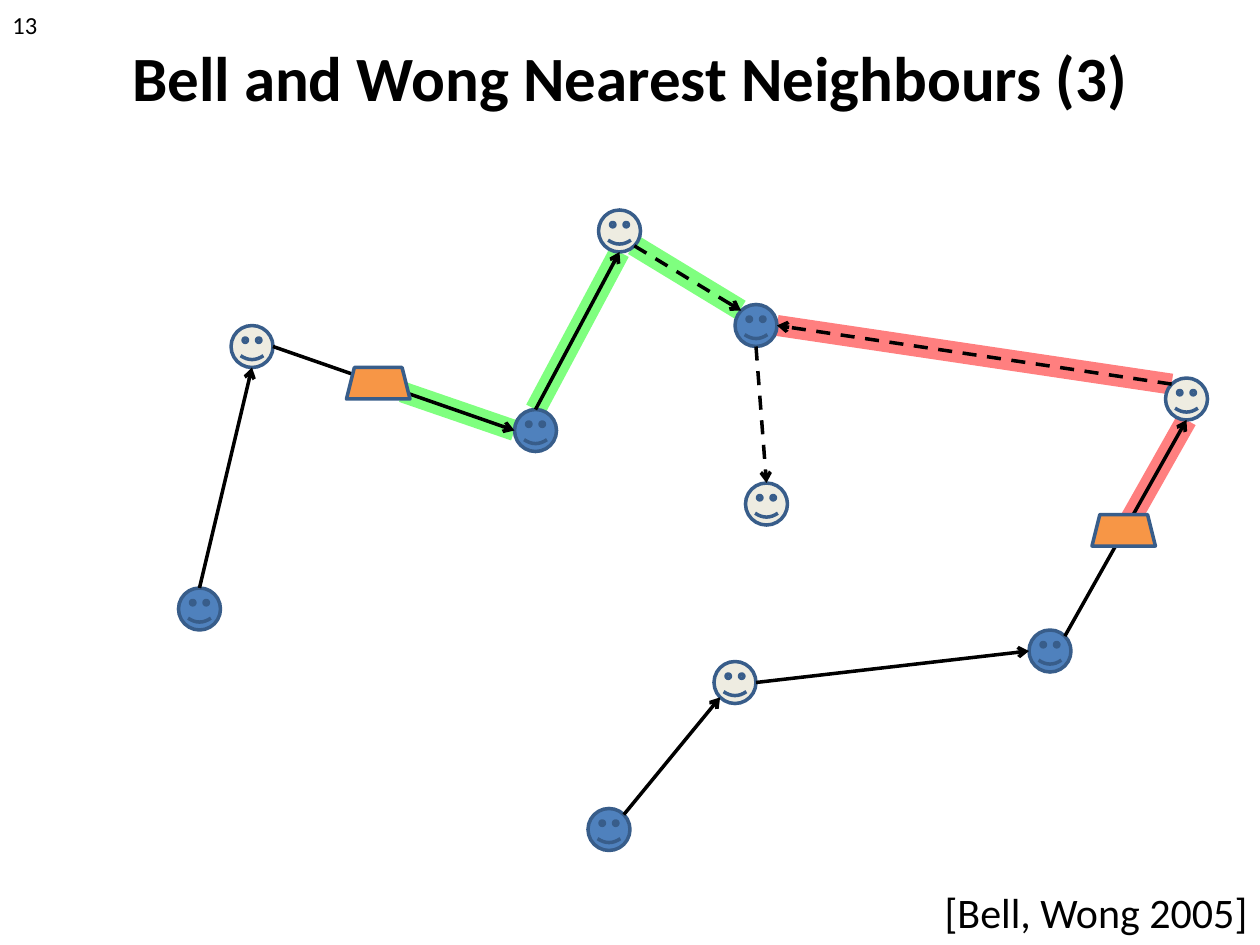
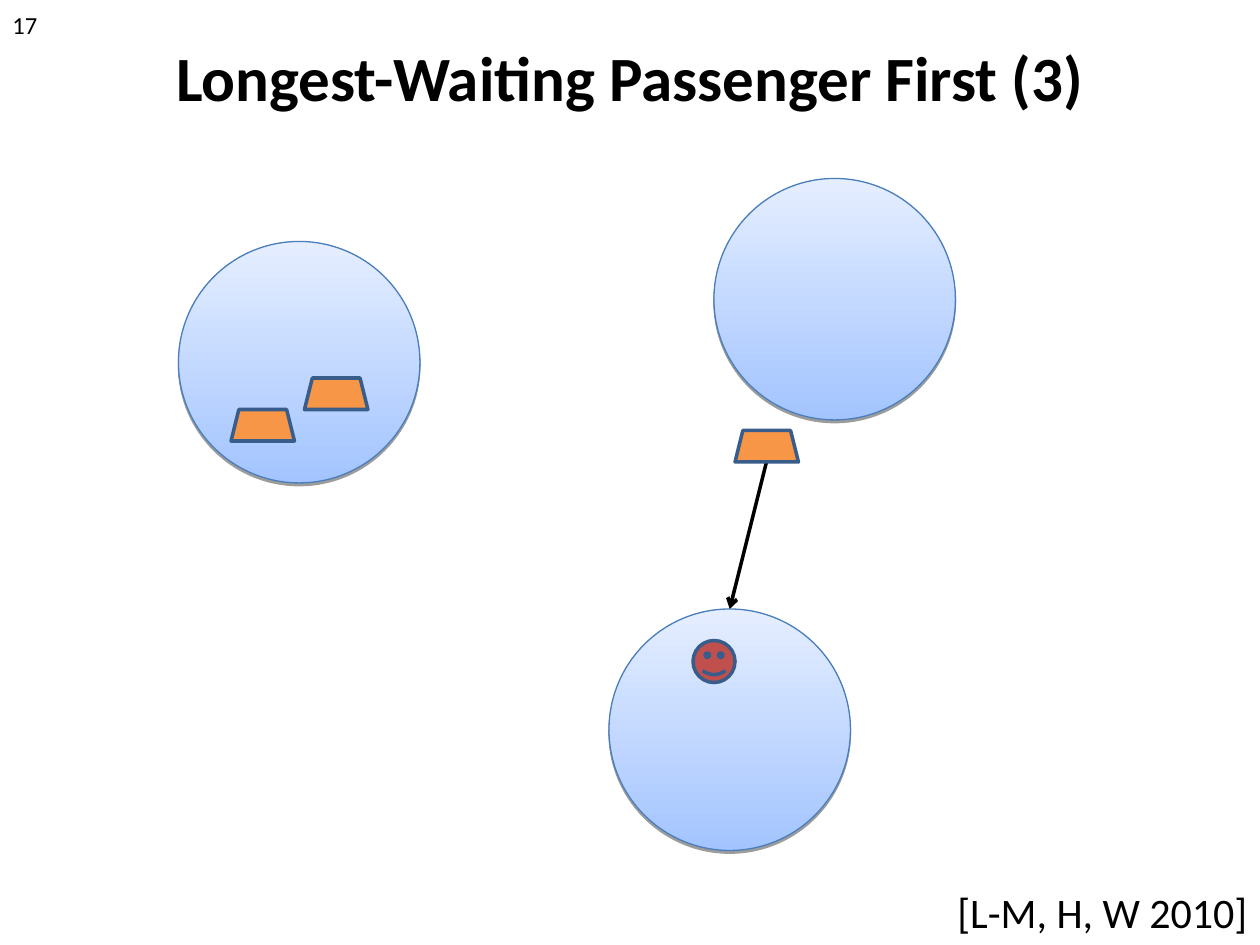
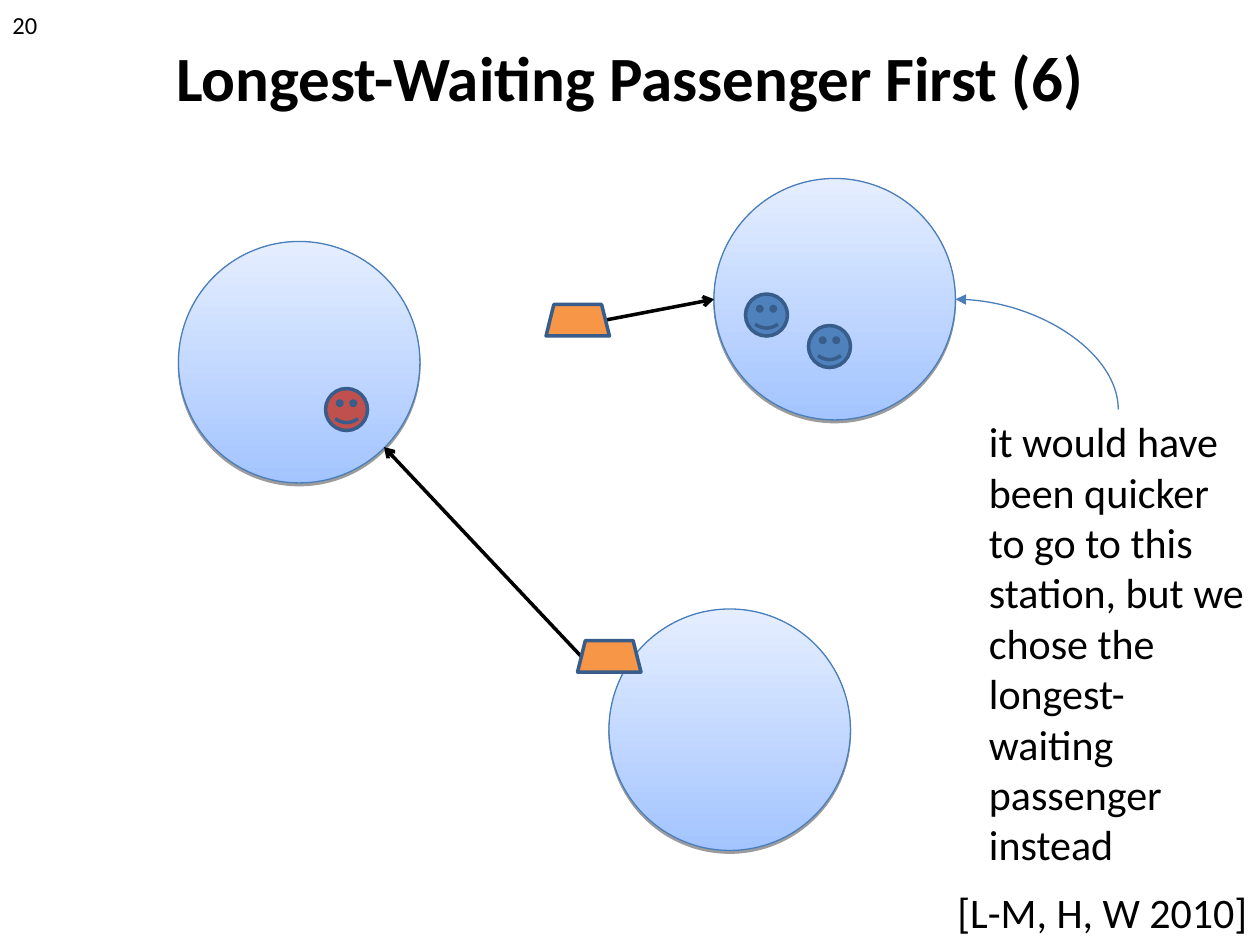
from lxml import etree
from pptx import Presentation
from pptx.dml.color import RGBColor
from pptx.enum.dml import MSO_LINE
from pptx.enum.shapes import MSO_CONNECTOR, MSO_SHAPE
from pptx.enum.text import MSO_ANCHOR, MSO_AUTO_SIZE, PP_ALIGN
from pptx.oxml.ns import qn
from pptx.util import Pt

STRAIGHT, CURVE = MSO_CONNECTOR.STRAIGHT, MSO_CONNECTOR.CURVE
SMILEY, OVAL = MSO_SHAPE.SMILEY_FACE, MSO_SHAPE.OVAL
SOLID, DASH = MSO_LINE.SOLID, MSO_LINE.DASH
TOP, MIDDLE = MSO_ANCHOR.TOP, MSO_ANCHOR.MIDDLE
LEFT, CENTER, RIGHT = PP_ALIGN.LEFT, PP_ALIGN.CENTER, PP_ALIGN.RIGHT

FONT = "Calibri"
BLACK = RGBColor(0x00, 0x00, 0x00)
GREEN = RGBColor(0x00, 0xFF, 0x00)
RED = RGBColor(0xFF, 0x00, 0x00)
CREAM = RGBColor(0xEE, 0xEC, 0xE1)
BLUE = RGBColor(0x4F, 0x81, 0xBD)
BRICK = RGBColor(0xC0, 0x50, 0x4D)
ORANGE = RGBColor(0xF7, 0x96, 0x46)
OUTLINE = RGBColor(0x38, 0x5D, 0x8A)
STATION_OUTLINE = RGBColor(0x4A, 0x7E, 0xBB)
STATION_BOTTOM = RGBColor(0xA3, 0xC4, 0xFF)
STATION_TOP = RGBColor(0xE5, 0xEE, 0xFF)

PASSENGER_SIZE = 24
STATION_SIZE = 138
TAXI_CORNERS = [(0, 18), (4.5, 0), (31.75, 0), (36.25, 18)]
STATIONS = [(348, 348), (408, 102), (102, 138)]

# Positions are (left, top) in points; routes are (start, end, dash style).
SLIDES = [
    {
        "number": "13",
        "title": "Bell and Wong Nearest Neighbours (3)",
        "citation": "[Bell, Wong 2005]",
        "stations": [],
        "highlights": [
            ((423, 177), (362, 140), GREEN),
            ((643, 302), (678, 240), RED),
            ((230, 224), (294, 246), GREEN),
            ((306, 234), (354, 144), GREEN),
            ((669.5, 219.5), (444, 186), RED),
        ],
        "passengers": [
            (132, 186, CREAM), (102, 336, BLUE), (408, 378, CREAM),
            (294, 234, BLUE), (588, 360, BLUE), (336, 462, BLUE),
            (666, 216, CREAM), (342, 120, CREAM), (420, 174, BLUE),
            (426, 276, CREAM),
        ],
        "routes": [
            ((114, 336), (144, 210), SOLID),
            ((156, 198), (294, 246), SOLID),
            ((432, 390), (588, 372), SOLID),
            ((356.5, 465.5), (411.5, 398.5), SOLID),
            ((608.5, 363.5), (678, 240), SOLID),
            ((306, 234), (354, 144), SOLID),
            ((432, 198), (438, 276), DASH),
            ((362.5, 140.5), (423.5, 177.5), DASH),
            ((669.5, 219.5), (444, 186), DASH),
        ],
        "taxis": [(198, 210), (624, 294)],
    },
    {
        "number": "17",
        "title": "Longest-Waiting Passenger First (3)",
        "citation": "[L-M, H, W 2010]",
        "stations": STATIONS,
        "highlights": [],
        "passengers": [(396, 366, BRICK)],
        "routes": [((438, 264), (417, 348), SOLID)],
        "taxis": [(174, 216), (132, 234), (420, 246)],
    },
    {
        "number": "20",
        "title": "Longest-Waiting Passenger First (6)",
        "citation": "[L-M, H, W 2010]",
        "stations": STATIONS,
        "highlights": [],
        "passengers": [(186, 222, BRICK), (426, 168, BLUE), (462, 186, BLUE)],
        "routes": [
            ((345.5, 183), (408, 171), SOLID),
            ((332, 375), (219.5, 255.5), SOLID),
        ],
        "taxis": [(312, 174), (330, 366)],
        "note": "it would have been quicker to go to this station, but we "
                "chose the longest-waiting passenger instead",
    },
]


def add_line(slide, start, end, color, width, arrow=None, kind=STRAIGHT):
    """Add a connector without shadow, with an optional arrowhead at its end."""
    connector = slide.shapes.add_connector(kind, *map(Pt, start + end))
    connector.line.color.rgb = color
    connector.line.width = Pt(width)
    properties = connector._element.spPr
    if arrow:
        etree.SubElement(properties.find(qn("a:ln")), qn("a:tailEnd"), type=arrow)
    etree.SubElement(properties, qn("a:effectLst"))
    return connector


def style_figure(shape, color):
    shape.shadow.inherit = False
    shape.fill.solid()
    shape.fill.fore_color.rgb = color
    shape.line.color.rgb = OUTLINE
    shape.line.width = Pt(2)


presentation = Presentation()
presentation.slide_width = Pt(720)
presentation.slide_height = Pt(540)
title_only = presentation.slide_layouts[5]

for content in SLIDES:
    slide = presentation.slides.add_slide(title_only)
    shapes = slide.shapes

    title = shapes.title
    title.left, title.top, title.width, title.height = map(Pt, (36, 21.6, 648, 44.6))
    title.text_frame.text = content["title"]
    title.text_frame.auto_size = MSO_AUTO_SIZE.NONE
    title.text_frame.vertical_anchor = MIDDLE
    paragraph = title.text_frame.paragraphs[0]
    paragraph.alignment = CENTER
    paragraph.font.name = FONT
    paragraph.font.size = Pt(36)
    paragraph.font.bold = True
    paragraph.font.color.rgb = BLACK

    for left, top in content["stations"]:
        station = shapes.add_shape(
            OVAL, Pt(left), Pt(top), Pt(STATION_SIZE), Pt(STATION_SIZE))
        station.fill.gradient()
        station.fill.gradient_angle = 90
        bottom_stop, top_stop = station.fill.gradient_stops
        bottom_stop.color.rgb = STATION_BOTTOM
        top_stop.color.rgb = STATION_TOP
        station.line.color.rgb = STATION_OUTLINE
        station.line.width = Pt(0.75)
        station.shadow.inherit = False
        effects = station._element.spPr.find(qn("a:effectLst"))
        shadow = etree.SubElement(
            effects, qn("a:outerShdw"), blurRad="0", dist=str(Pt(1.6)),
            dir="5400000", rotWithShape="0")
        shadow_color = etree.SubElement(shadow, qn("a:srgbClr"), val=str(BLACK))
        etree.SubElement(shadow_color, qn("a:alpha"), val="38000")

    for start, end, color in content["highlights"]:
        highlight = add_line(slide, start, end, color, 12)
        line_color = highlight._element.spPr.find(".//" + qn("a:srgbClr"))
        etree.SubElement(line_color, qn("a:alpha"), val="50000")

    for left, top, color in content["passengers"]:
        passenger = shapes.add_shape(
            SMILEY, Pt(left), Pt(top), Pt(PASSENGER_SIZE), Pt(PASSENGER_SIZE))
        style_figure(passenger, color)

    for start, end, dash in content["routes"]:
        route = add_line(slide, start, end, BLACK, 2, "arrow")
        route.line.dash_style = dash

    for left, top in content["taxis"]:
        corners = [(Pt(left + x), Pt(top + y)) for x, y in TAXI_CORNERS]
        builder = shapes.build_freeform(*corners[0])
        builder.add_line_segments(corners[1:], close=True)
        style_figure(builder.convert_to_shape(), ORANGE)

    labels = [
        (content["number"], (0, 0, 36, 28.8), 14, LEFT, MIDDLE),
        (content["citation"], (0, 503.3, 720, 36), 24, RIGHT, TOP),
    ]
    if "note" in content:
        labels.append((content["note"], (558, 234, 162, 266.4), 24, LEFT, TOP))
        # A quarter turn makes the curve leave the note upwards.
        pointer = add_line(
            slide, (561, 249), (624, 156), STATION_OUTLINE, 0.75, "triangle", CURVE)
        properties = pointer._element.spPr
        properties.find(qn("a:prstGeom")).set("prst", "curvedConnector2")
        properties.find(qn("a:xfrm")).set("rot", "16200000")

    for text, box, size, alignment, anchor in labels:
        text_frame = shapes.add_textbox(*map(Pt, box)).text_frame
        text_frame.word_wrap = True
        text_frame.vertical_anchor = anchor
        text_frame.text = text
        paragraph = text_frame.paragraphs[0]
        paragraph.alignment = alignment
        paragraph.font.name = FONT
        paragraph.font.size = Pt(size)
        paragraph.font.color.rgb = BLACK

presentation.save("out.pptx")
